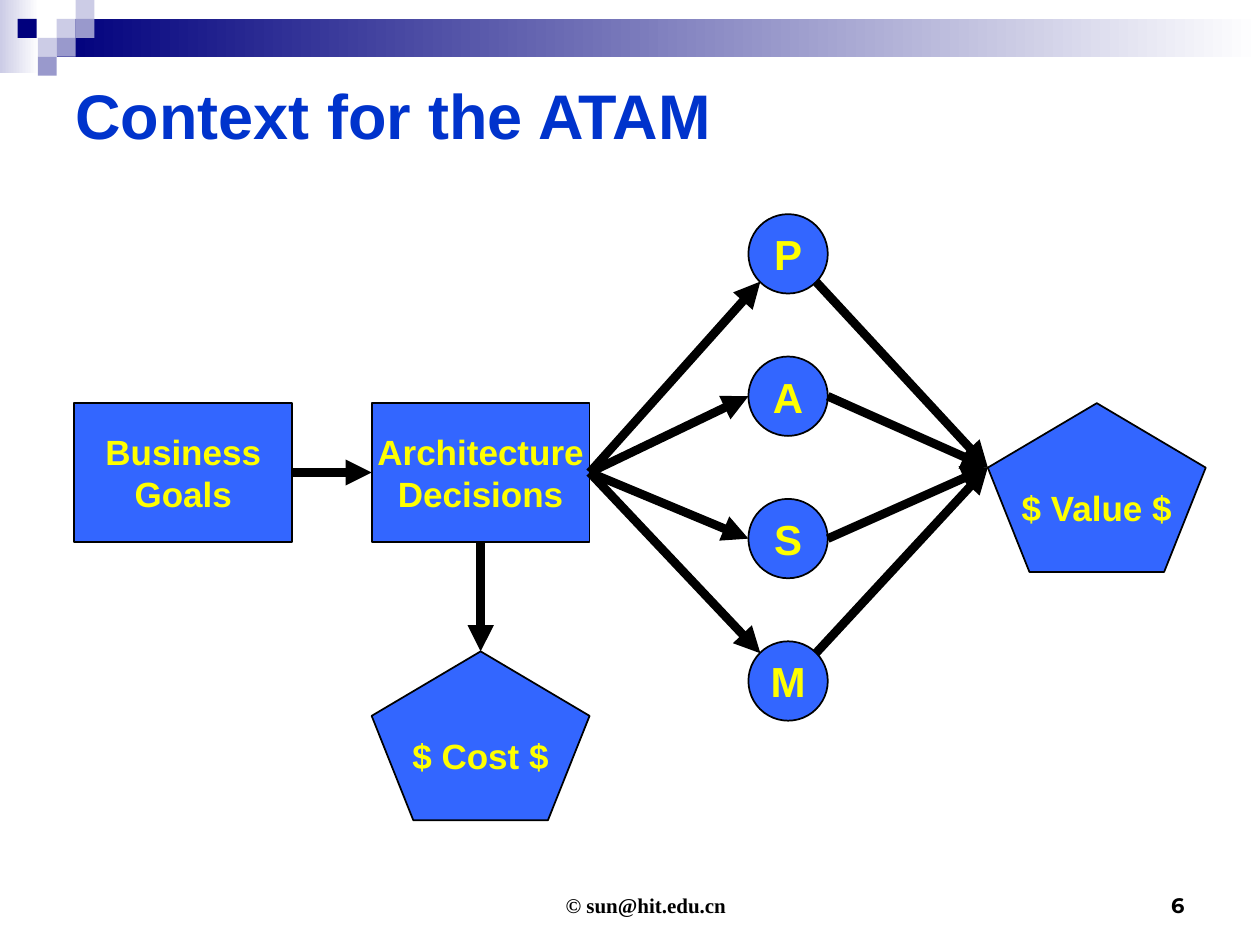
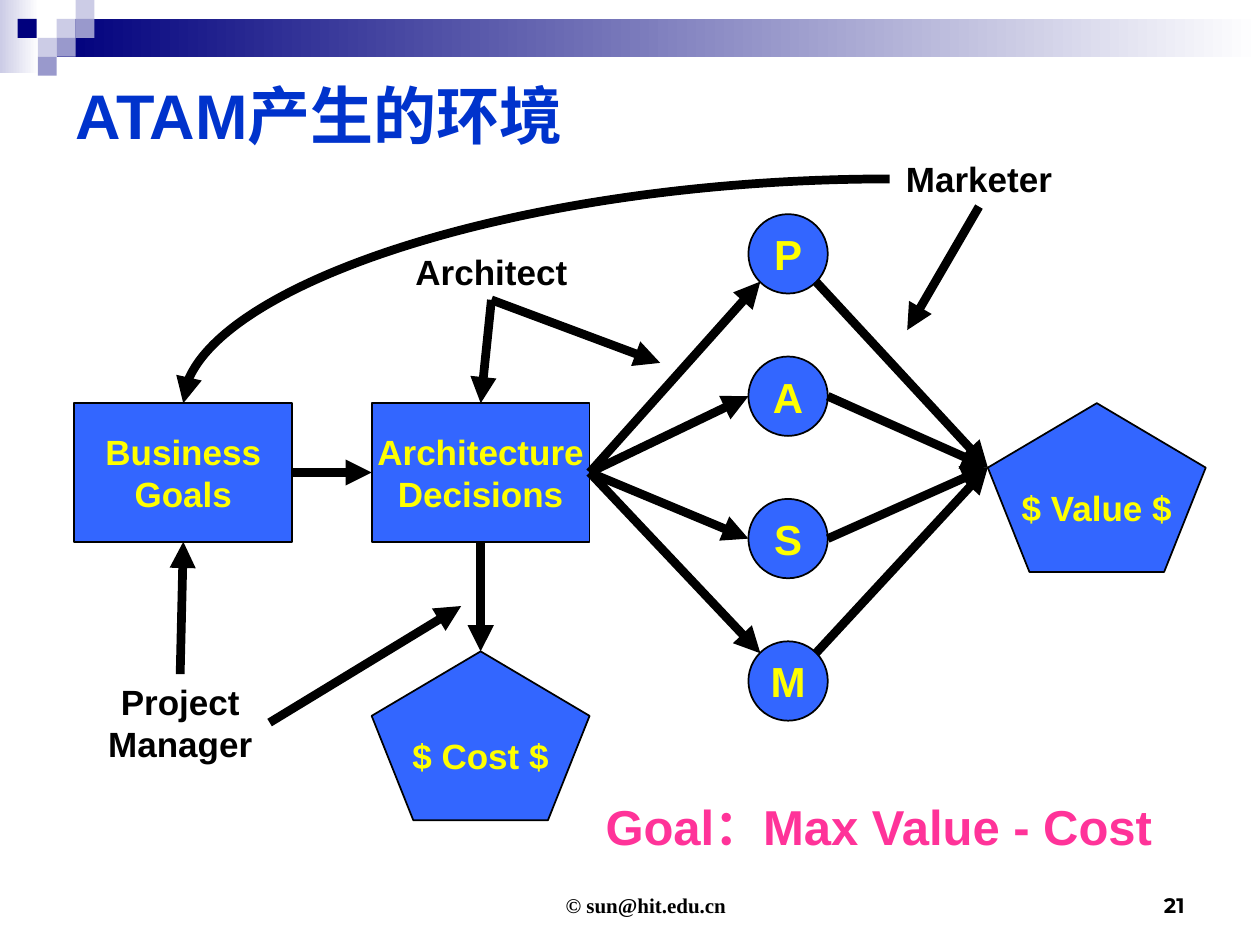
from lxml import etree
from pptx import Presentation
from pptx.dml.color import RGBColor
from pptx.enum.shapes import MSO_CONNECTOR, MSO_SHAPE
from pptx.enum.text import MSO_ANCHOR, PP_ALIGN
from pptx.oxml.ns import qn
from pptx.util import Inches, Pt

RECT, OVAL, PENTA = MSO_SHAPE.RECTANGLE, MSO_SHAPE.OVAL, MSO_SHAPE.REGULAR_PENTAGON
STRAIGHT, CURVE = MSO_CONNECTOR.STRAIGHT, MSO_CONNECTOR.CURVE
LEFT, CENTER, RIGHT = PP_ALIGN.LEFT, PP_ALIGN.CENTER, PP_ALIGN.RIGHT
TOP, MIDDLE, BOTTOM = MSO_ANCHOR.TOP, MSO_ANCHOR.MIDDLE, MSO_ANCHOR.BOTTOM

COLORS = {
    "white": "FFFFFF", "black": "000000", "navy": "00007D",
    "pale": "CCCCE6", "lilac": "9999CC", "title": "0033CC",
    "node": "3366FF", "label": "FFFF00", "goal": "FF3399",
}

# Connection sites of a rectangle
UP, WEST, DOWN, EAST = range(4)

# Small squares beside the top band: left, top, colour
TILES = [
    (0.45, 0.15, "pale"), (0.6, 0, "pale"), (0.6, 0.15, "lilac"),
    (0.3, 0.3, "pale"), (0.14, 0.15, "navy"), (0.45, 0.3, "lilac"),
    (0.3, 0.45, "lilac"),
]
TILE = 0.15

# Quality circles: letter and offset from the centre to the arrow end
DISC, PITCH = 0.63, 1.13
DISCS = [("P", 0.22, 0.22), ("A", 0.315, 0), ("S", 0.315, 0), ("M", 0.22, -0.22)]
VALUE_TIP = (7.84, 3.71)


def rgb(name):
    return RGBColor.from_string(COLORS[name])


def write(shape, text, size, color, align=CENTER, anchor=MIDDLE,
          font="Arial", wrap=True):
    frame = shape.text_frame
    frame.word_wrap = wrap
    frame.vertical_anchor = anchor
    para = frame.paragraphs[0]
    para.text = text
    para.alignment = align
    for run in para.runs:
        run.font.name = font
        run.font.size = Pt(size)
        run.font.bold = True
        run.font.color.rgb = rgb(color)


def label(slide, box, text, size, color, **style):
    shape = slide.shapes.add_textbox(*map(Inches, box))
    write(shape, text, size, color, **style)
    return shape


def block(slide, kind, box, color):
    shape = slide.shapes.add_shape(kind, *map(Inches, box))
    shape.shadow.inherit = False
    shape.fill.solid()
    shape.fill.fore_color.rgb = rgb(color)
    shape.line.fill.background()
    return shape


def fade(slide, box, color):
    """Draw a band that runs from its colour at left to white at right."""
    fill = block(slide, RECT, box, color).fill
    fill.gradient()
    fill.gradient_angle = 180
    for stop, name in zip(fill.gradient_stops, ("white", color)):
        stop.color.rgb = rgb(name)


def node(slide, kind, box, text, size=20):
    shape = block(slide, kind, box, "node")
    shape.line.color.rgb = rgb("black")
    shape.line.width = Pt(1)
    write(shape, text, size, "label", wrap=False)
    return shape


def spot(end):
    """Turn (x, y) or (shape, site) into a point on the slide."""
    shape, site = end
    if not hasattr(shape, "left"):
        return [Inches(value) for value in end]
    across = {WEST: 0, EAST: shape.width}.get(site, shape.width // 2)
    down = {UP: 0, DOWN: shape.height}.get(site, shape.height // 2)
    return [shape.left + across, shape.top + down]


def arrow(slide, start, end, kind=STRAIGHT):
    line = slide.shapes.add_connector(kind, *spot(start), *spot(end))
    if hasattr(start[0], "left"):
        line.begin_connect(*start)
    if hasattr(end[0], "left"):
        line.end_connect(*end)
    line.line.color.rgb = rgb("black")
    line.line.width = Pt(5)
    props = line.element.spPr
    etree.SubElement(props.find(qn("a:ln")), qn("a:tailEnd"), type="triangle")
    etree.SubElement(props, qn("a:effectLst"))
    if kind == CURVE:
        props.find(qn("a:prstGeom")).set("prst", "curvedConnector2")


def base(deck, title, number):
    """Start a slide with the shared bands, title and footer."""
    slide = deck.slides.add_slide(deck.slide_layouts[6])
    fade(slide, (0, 0, 0.31, 0.58), "pale")
    fade(slide, (0.45, 0.15, 9.55, 0.3), "navy")
    for left, top, color in TILES:
        block(slide, RECT, (left, top, TILE, TILE), color)
    label(slide, (0.5, 0.5, 9, 0.81), title, 36, "title", align=LEFT)
    foot = label(slide, (3.42, 6.83, 3.17, 0.5), "© sun@hit.edu.cn", 12, "black",
                 anchor=BOTTOM, font="Times New Roman")
    foot.text_frame.margin_left = Inches(0.34)
    label(slide, (7.17, 6.83, 2.33, 0.5), number, 12, "black",
          align=RIGHT, anchor=BOTTOM, font="Montserrat")
    return slide


def flow(slide):
    """Draw the chain from goals to value and cost."""
    goals = node(slide, RECT, (0.59, 3.2, 1.73, 1.1), "Business\nGoals")
    plan = node(slide, RECT, (2.95, 3.2, 1.73, 1.1), "Architecture\nDecisions")
    node(slide, PENTA, (7.84, 3.2, 1.73, 1.34), "$ Value $")
    cost = node(slide, PENTA, (2.95, 5.17, 1.73, 1.34), "$ Cost $")
    arrow(slide, (goals, EAST), (plan, WEST))
    arrow(slide, (plan, DOWN), (cost, UP))

    # Qualities between decisions and value
    left = 5.94
    mid = left + DISC / 2
    for row, (name, dx, dy) in enumerate(DISCS):
        top = 1.7 + row * PITCH
        node(slide, OVAL, (left, top, DISC, DISC), name, 24)
        y = top + DISC / 2 + dy
        arrow(slide, (plan, EAST), (mid - dx, y))
        arrow(slide, (mid + dx, y), VALUE_TIP)
    return goals, plan


def roles(slide, goals, plan):
    """Add the people and what each of them acts on."""
    lead, maker, seller = [
        label(slide, box, text, 20, "black", anchor=TOP)
        for text, box in (
            ("Project Manager", (0.72, 5.35, 1.42, 0.77)),
            ("Architect", (3.19, 1.94, 1.42, 0.44)),
            ("Marketer", (7.06, 1.2, 1.42, 0.44)),
        )
    ]
    arrow(slide, (lead, EAST), (3.66, 4.81))
    arrow(slide, (lead, UP), (goals, DOWN))
    arrow(slide, (maker, DOWN), (5.24, 2.88))
    arrow(slide, (maker, DOWN), (plan, UP))
    arrow(slide, (seller, DOWN), (7.2, 2.62))
    arrow(slide, (seller, WEST), (goals, UP), CURVE)


def main():
    deck = Presentation()
    deck.slide_width, deck.slide_height = Inches(10), Inches(7.5)

    # Slide 1: the plain flow
    flow(base(deck, "Context for the ATAM", "6"))

    # Slide 2: the flow with roles and the goal
    slide = base(deck, "ATAM产生的环境", "21")
    roles(slide, *flow(slide))
    label(slide, (4.61, 6.27, 4.73, 1.04), "Goal：Max Value - Cost", 28, "goal",
          anchor=TOP, wrap=False)

    deck.save("out.pptx")


if __name__ == "__main__":
    main()
